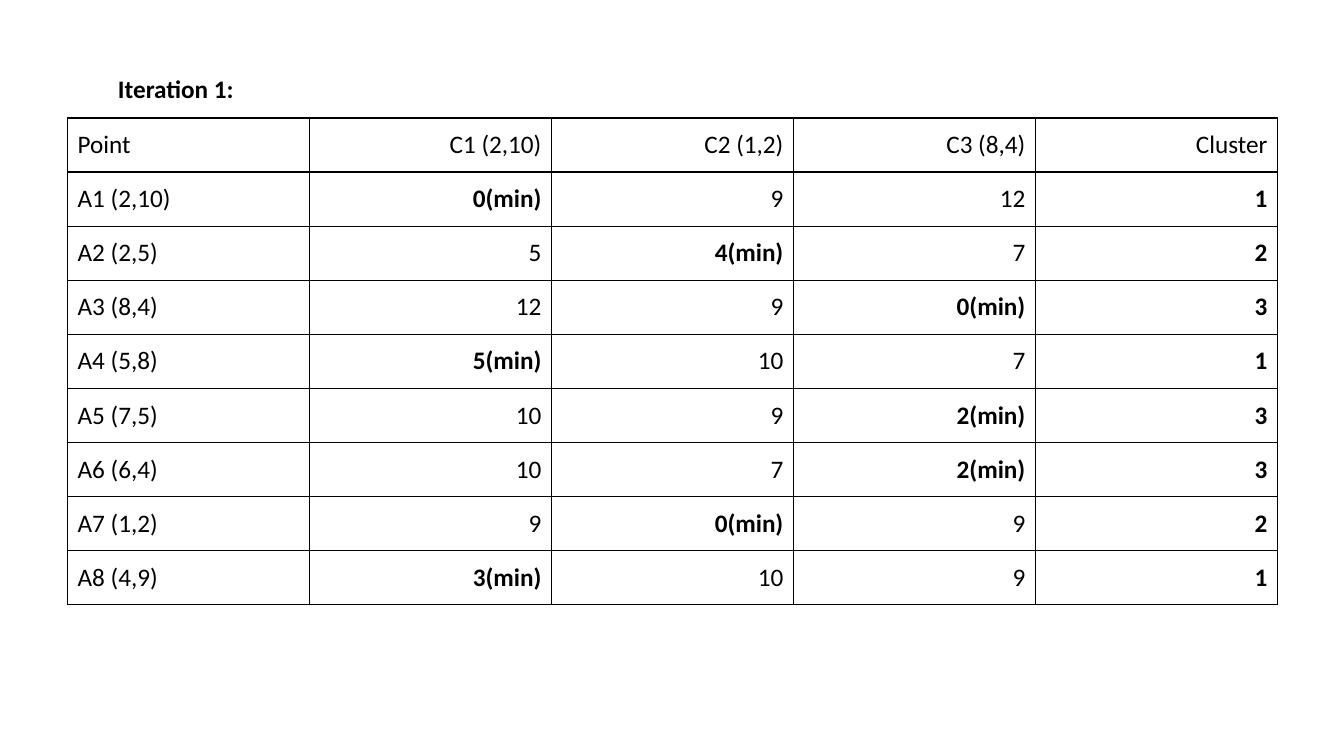
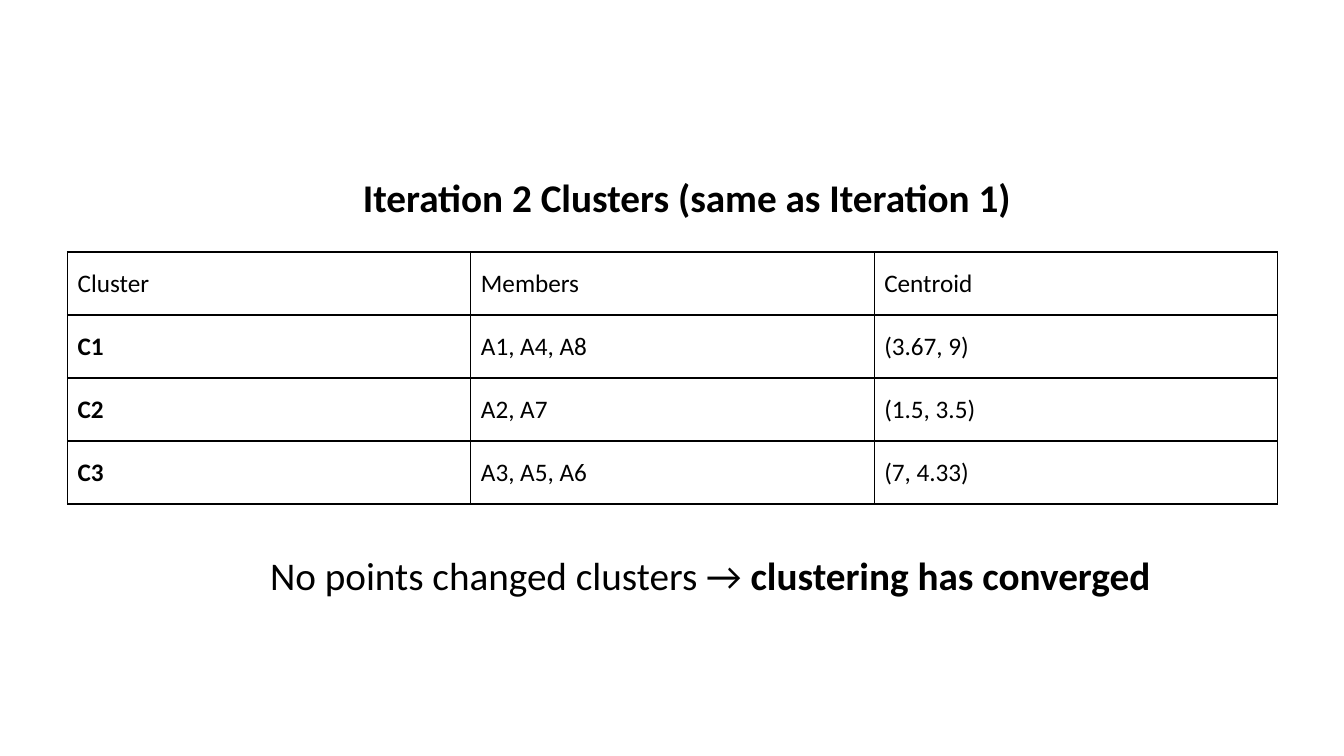
from dataclasses import dataclass

from lxml import etree
from pptx import Presentation
from pptx import util as u
from pptx.dml.color import RGBColor
from pptx.enum import text
from pptx.oxml.ns import qn


@dataclass(frozen=True)
class Theme:
    font: str = "Calibri"
    ink: str = "000000"
    paper: str = "FFFFFF"
    body_size: int = 18
    large_size: int = 28
    border_width: int = 1
    table_left: float = 0.67
    table_width: float = 12


class Deck:
    """Builds the slides in one theme, keeping track of the current slide."""

    def __init__(self, theme):
        self.theme = theme
        self.presentation = Presentation()
        self.presentation.slide_width = u.Inches(13.33)
        self.presentation.slide_height = u.Inches(7.5)
        self.slide = None

    def add_slide(self):
        title_only = self.presentation.slide_layouts[5]
        self.slide = self.presentation.slides.add_slide(title_only)
        background = self.slide.background.fill
        background.solid()
        background.fore_color.rgb = RGBColor.from_string(self.theme.paper)

    def style(self, paragraph, size, bold=None, align=text.PP_ALIGN.LEFT):
        paragraph.alignment = align
        font = paragraph.font
        font.name = self.theme.font
        font.size = u.Pt(size)
        font.bold = bold
        font.color.rgb = RGBColor.from_string(self.theme.ink)

    def prepare_frame(self, shape):
        frame = shape.text_frame
        frame.word_wrap = True
        frame.auto_size = text.MSO_AUTO_SIZE.NONE
        frame.vertical_anchor = text.MSO_ANCHOR.TOP
        return frame.paragraphs[0]

    def add_title(self, words, left, top, width, height, size):
        title = self.slide.shapes.title
        title.left, title.top = u.Inches(left), u.Inches(top)
        title.width, title.height = u.Inches(width), u.Inches(height)
        paragraph = self.prepare_frame(title)
        paragraph.text = words
        paragraph.line_spacing = 1.0
        paragraph.space_before = u.Pt(0)
        self.style(paragraph, size, bold=True)

    def add_statement(self, lead, emphasis, left, top, width, height):
        box = self.slide.shapes.add_textbox(
            u.Inches(left), u.Inches(top), u.Inches(width), u.Inches(height)
        )
        paragraph = self.prepare_frame(box)
        paragraph.add_run().text = lead
        strong_run = paragraph.add_run()
        strong_run.text = emphasis
        strong_run.font.bold = True
        self.style(paragraph, self.theme.large_size)

    def add_border(self, cell):
        properties = cell._tc.get_or_add_tcPr()
        for position, side in enumerate(("lnL", "lnR", "lnT", "lnB")):
            line = etree.Element(
                qn(f"a:{side}"), w=str(u.Pt(self.theme.border_width))
            )
            fill = etree.SubElement(line, qn("a:solidFill"))
            etree.SubElement(fill, qn("a:srgbClr"), val=self.theme.ink)
            properties.insert(position, line)

    def add_table(self, rows, top, height, strong_column, number_align):
        table = self.slide.shapes.add_table(
            len(rows),
            len(rows[0]),
            u.Inches(self.theme.table_left),
            u.Inches(top),
            u.Inches(self.theme.table_width),
            u.Inches(height),
        ).table
        table.first_row = table.horz_banding = False
        for row_index, row in enumerate(rows):
            for column_index, words in enumerate(row):
                cell = table.cell(row_index, column_index)
                cell.text = words
                cell.vertical_anchor = text.MSO_ANCHOR.MIDDLE
                cell.fill.background()
                self.add_border(cell)
                in_strong_column = row_index > 0 and column_index == strong_column
                self.style(
                    cell.text_frame.paragraphs[0],
                    self.theme.body_size,
                    bold=in_strong_column or words.endswith("(min)"),
                    align=number_align if column_index else text.PP_ALIGN.LEFT,
                )


DISTANCES = [
    ("Point", "C1 (2,10)", "C2 (1,2)", "C3 (8,4)", "Cluster"),
    ("A1 (2,10)", "0(min)", "9", "12", "1"),
    ("A2 (2,5)", "5", "4(min)", "7", "2"),
    ("A3 (8,4)", "12", "9", "0(min)", "3"),
    ("A4 (5,8)", "5(min)", "10", "7", "1"),
    ("A5 (7,5)", "10", "9", "2(min)", "3"),
    ("A6 (6,4)", "10", "7", "2(min)", "3"),
    ("A7 (1,2)", "9", "0(min)", "9", "2"),
    ("A8 (4,9)", "3(min)", "10", "9", "1"),
]

CLUSTERS = [
    ("Cluster", "Members", "Centroid"),
    ("C1", "A1, A4, A8", "(3.67, 9)"),
    ("C2", "A2, A7", "(1.5, 3.5)"),
    ("C3", "A3, A5, A6", "(7, 4.33)"),
]


def main():
    theme = Theme()
    deck = Deck(theme)

    deck.add_slide()
    deck.add_title("Iteration 1:", 1.07, 0.68, 1.49, 0.4, theme.body_size)
    deck.add_table(DISTANCES, 1.17, 4.83, 4, text.PP_ALIGN.RIGHT)

    deck.add_slide()
    deck.add_title(
        "Iteration 2 Clusters (same as Iteration 1)",
        3.5, 1.67, 6.76, 0.57, theme.large_size,
    )
    deck.add_table(CLUSTERS, 2.5, 2.5, 0, text.PP_ALIGN.LEFT)
    deck.add_statement(
        "No points changed clusters → ", "clustering has converged",
        2.58, 5.42, 9.09, 0.57,
    )

    deck.presentation.save("out.pptx")


if __name__ == "__main__":
    main()
